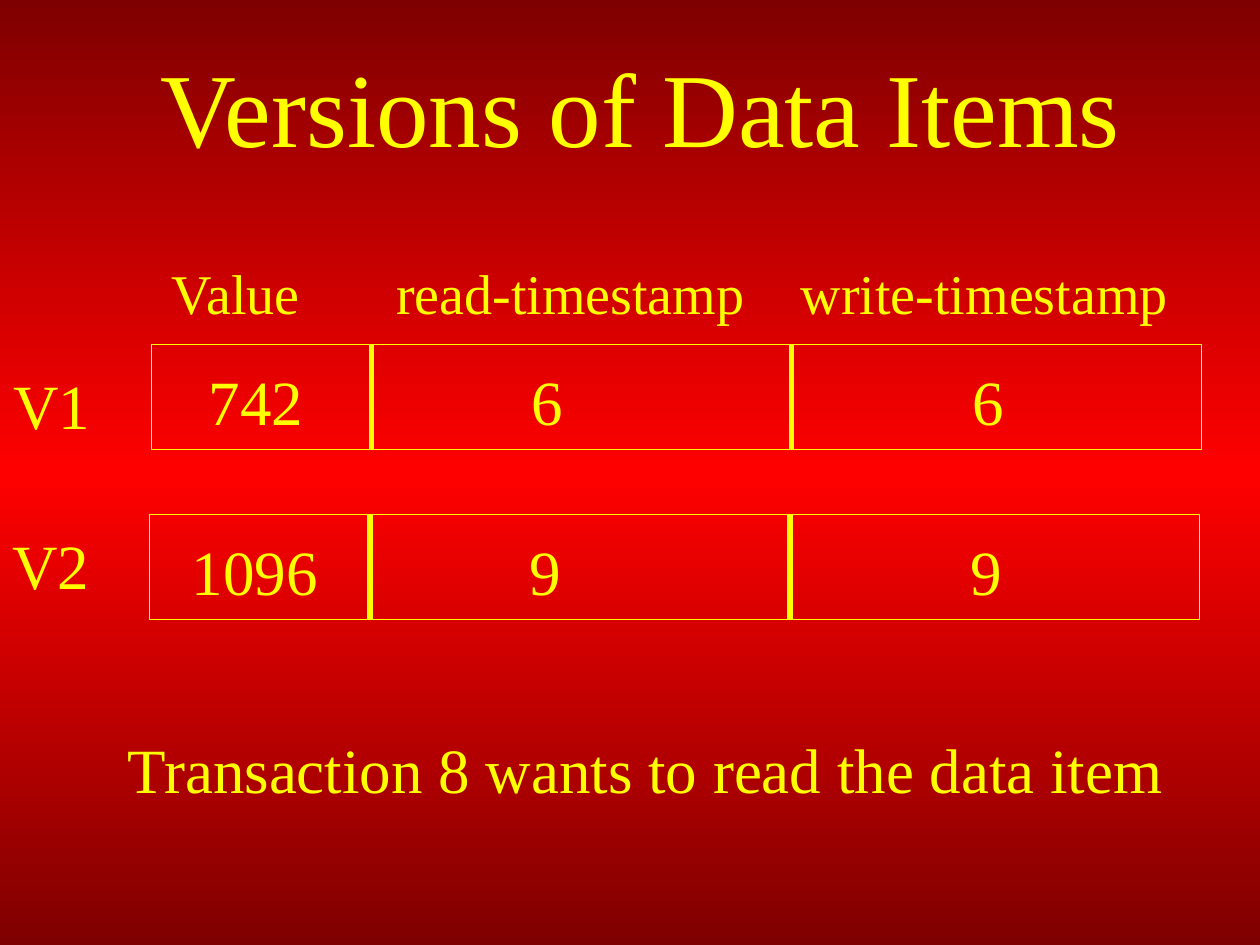
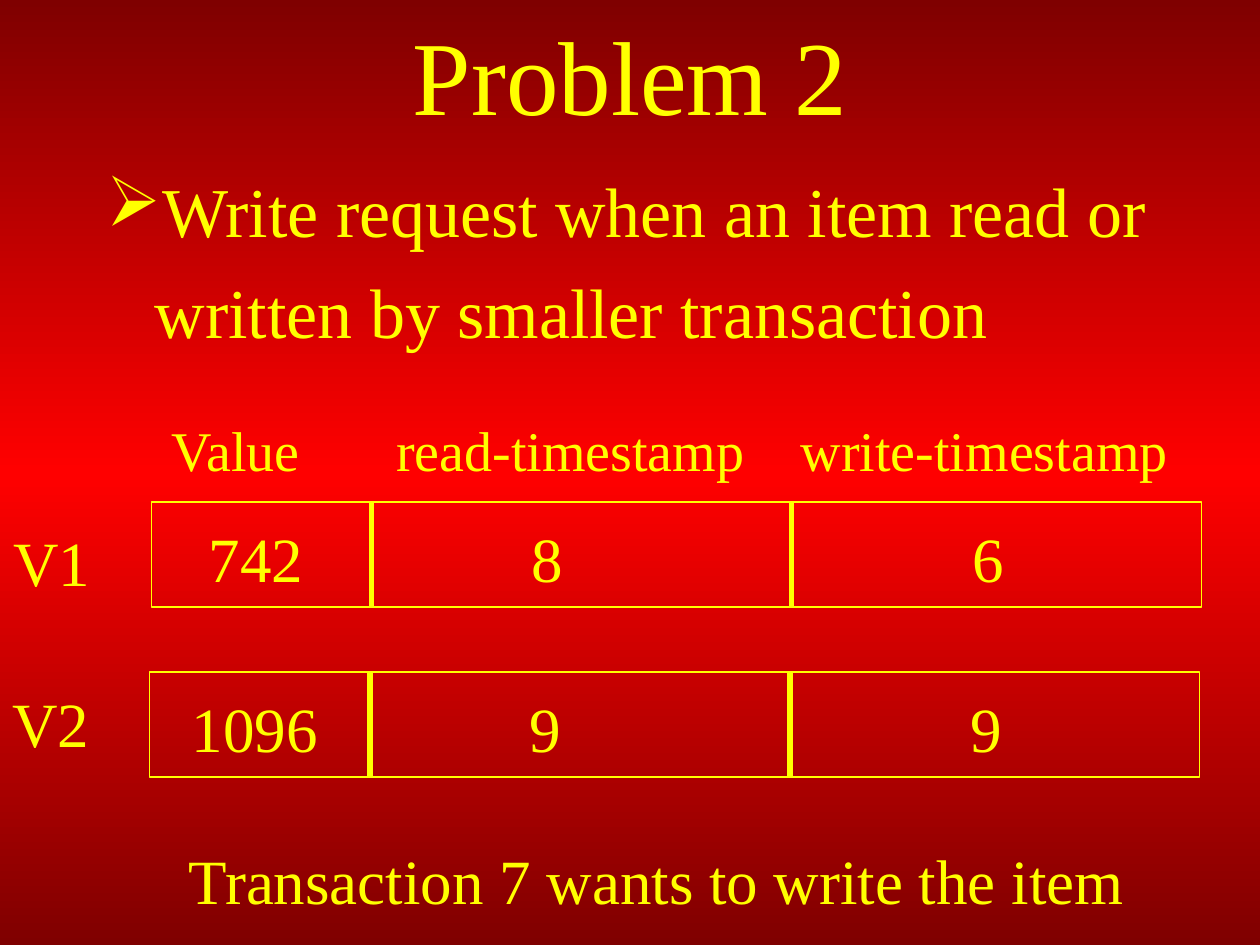
import copy
from dataclasses import dataclass

import pptx
import pptx.dml.color
import pptx.enum.shapes
import pptx.enum.text
import pptx.oxml
import pptx.oxml.ns
import pptx.util

YELLOW = pptx.dml.color.RGBColor(0xFF, 0xFF, 0x00)
RED = pptx.dml.color.RGBColor(0xFF, 0x00, 0x00)
DARK_RED = pptx.dml.color.RGBColor(0x7F, 0x00, 0x00)
FONT = "Times New Roman"
ALIGN = pptx.enum.text.PP_ALIGN

SLIDE_WIDTH = pptx.util.Inches(10)
SLIDE_HEIGHT = pptx.util.Inches(7.5)
COLUMNS = 120
ROWS = 90

RECORD_WIDTH = 100
RECORD_HEIGHT = 10
RECORD_PITCH = 16.2
DIVIDERS = (21, 61)
CELL_CENTRES = (10, 37.7, 79.7)
CELL_WIDTH = 14.4
LINE_HEIGHT = 8.4
HEADINGS = ("Value", "read-timestamp", "write-timestamp")
HEADING_TABS = (1.78, 4.99)


@dataclass(frozen=True)
class Area:
    column: float
    row: float
    width: float
    height: float


@dataclass(frozen=True)
class Version:
    label: str
    cells: tuple[str, str, str]
    left: float
    label_left: float
    label_drop: float


@dataclass(frozen=True)
class VersionSlide:
    title: str
    title_area: Area
    table_row: float
    first_read: str
    request: str
    request_area: Area
    rule: str = ""


SLIDES = (
    VersionSlide("Versions of Data Items", Area(10, 4, 102, 12), 32.8, "6",
                 "Transaction 8 wants to read the data item",
                 Area(11, 69, 101.2, LINE_HEIGHT)),
    VersionSlide("Problem 2", Area(9, 3, 102, 8), 47.8, "8",
                 "Transaction 7 wants to write the item",
                 Area(16.8, 79.6, 91.7, LINE_HEIGHT),
                 "Write request when an item read or written by smaller transaction"),
)
RULE_AREA = Area(9, 13.8, 102, 21)


def across(columns: float) -> int:
    return round(SLIDE_WIDTH * columns / COLUMNS)


def down(rows: float) -> int:
    return round(SLIDE_HEIGHT * rows / ROWS)


def box(area: Area) -> tuple[int, int, int, int]:
    return across(area.column), down(area.row), across(area.width), down(area.height)


def child(parent, tag: str, **attributes: str):
    element = pptx.oxml.parse_xml(f"<{tag} {pptx.oxml.ns.nsdecls('a')}/>")
    for key, value in attributes.items():
        element.set(key, value)
    parent.append(element)
    return element


def write(paragraph, text: str, size: float) -> None:
    run = paragraph.add_run()
    run.text = text
    run.font.name = FONT
    run.font.size = pptx.util.Pt(size)
    run.font.color.rgb = YELLOW


def add_text(slide, area: Area, text: str, size: float = 36,
             align=ALIGN.LEFT, wrap: bool = False):
    frame = slide.shapes.add_textbox(*box(area)).text_frame
    frame.word_wrap = wrap
    paragraph = frame.paragraphs[0]
    paragraph.alignment = align
    write(paragraph, text, size)
    return paragraph


def add_title(slide, text: str, area: Area) -> None:
    title = slide.shapes.title
    title.left, title.top, title.width, title.height = box(area)
    frame = title.text_frame
    frame.auto_size = pptx.enum.text.MSO_AUTO_SIZE.NONE
    frame.vertical_anchor = pptx.enum.text.MSO_ANCHOR.MIDDLE
    frame.paragraphs[0].alignment = ALIGN.CENTER
    write(frame.paragraphs[0], text, 60)


def add_rule(slide, text: str) -> None:
    paragraph = add_text(slide, RULE_AREA, text, 40, wrap=True)
    paragraph.line_spacing = 1.2
    properties = paragraph._p.get_or_add_pPr()
    properties.set("marL", str(pptx.util.Inches(0.38)))
    properties.set("indent", str(-pptx.util.Inches(0.38)))
    child(properties, "a:buChar", char="➢")


def add_headings(slide, table_row: float) -> None:
    area = Area(15.2, table_row - 8.8, 100, 7.7)
    paragraph = add_text(slide, area, "\t".join(HEADINGS), 32, wrap=True)
    tabs = child(paragraph._p.get_or_add_pPr(), "a:tabLst")
    for stop in HEADING_TABS:
        child(tabs, "a:tab", pos=str(pptx.util.Inches(stop)), algn="l")


def add_divider(slide, column: float, row: float) -> None:
    x = across(column)
    divider = slide.shapes.add_connector(
        pptx.enum.shapes.MSO_CONNECTOR.STRAIGHT, x, down(row), x, down(row + RECORD_HEIGHT))
    divider.line.color.rgb = YELLOW
    divider.line.width = pptx.util.Pt(3)
    child(divider._element.spPr, "a:effectLst")


def add_version(slide, version: Version, row: float) -> None:
    record = slide.shapes.add_shape(
        pptx.enum.shapes.MSO_SHAPE.RECTANGLE,
        *box(Area(version.left, row, RECORD_WIDTH, RECORD_HEIGHT)))
    record.shadow.inherit = False
    record.fill.background()
    record.line.color.rgb = YELLOW
    record.line.width = pptx.util.Pt(0.75)
    for offset in DIVIDERS:
        add_divider(slide, version.left + offset, row)
    for centre, value in zip(CELL_CENTRES, version.cells):
        left = version.left + centre - CELL_WIDTH / 2
        add_text(slide, Area(left, row + 1.1, CELL_WIDTH, LINE_HEIGHT), value,
                 align=ALIGN.CENTER)
    add_text(slide, Area(version.label_left, row + version.label_drop, 9.7, LINE_HEIGHT),
             version.label)


def paint_background(master) -> None:
    fill = master.background.fill
    fill.gradient()
    fill.gradient_angle = 270
    stop_list = master.element.find(".//" + pptx.oxml.ns.qn("a:gsLst"))
    stop_list.append(copy.deepcopy(stop_list[0]))
    for stop, position, color in zip(fill.gradient_stops, (0, 0.5, 1),
                                     (DARK_RED, RED, DARK_RED)):
        stop.position = position
        stop.color.rgb = color


def build_slide(presentation, content: VersionSlide) -> None:
    slide = presentation.slides.add_slide(presentation.slide_layouts.get_by_name("Title Only"))
    add_title(slide, content.title, content.title_area)
    if content.rule:
        add_rule(slide, content.rule)
    add_headings(slide, content.table_row)
    versions = (
        Version("V1", ("742", content.first_read, "6"), 14.4, 0.1, 1.5),
        Version("V2", ("1096", "9", "9"), 14.25, 0, 0.6),
    )
    for index, version in enumerate(versions):
        add_version(slide, version, content.table_row + index * RECORD_PITCH)
    add_text(slide, content.request_area, content.request)


def main() -> None:
    presentation = pptx.Presentation()
    presentation.slide_width = SLIDE_WIDTH
    presentation.slide_height = SLIDE_HEIGHT
    paint_background(presentation.slide_master)
    for content in SLIDES:
        build_slide(presentation, content)
    presentation.save("out.pptx")


if __name__ == "__main__":
    main()
